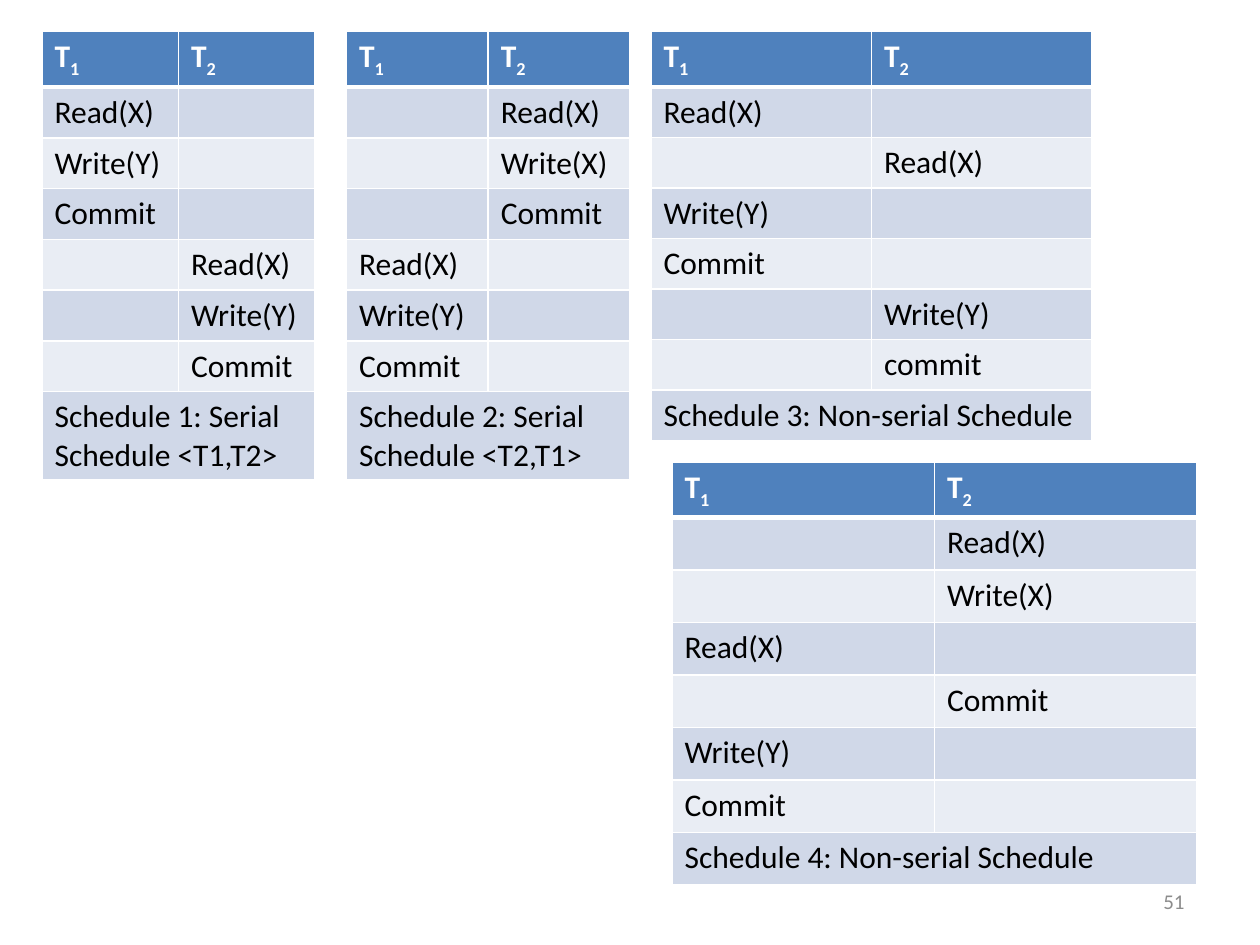
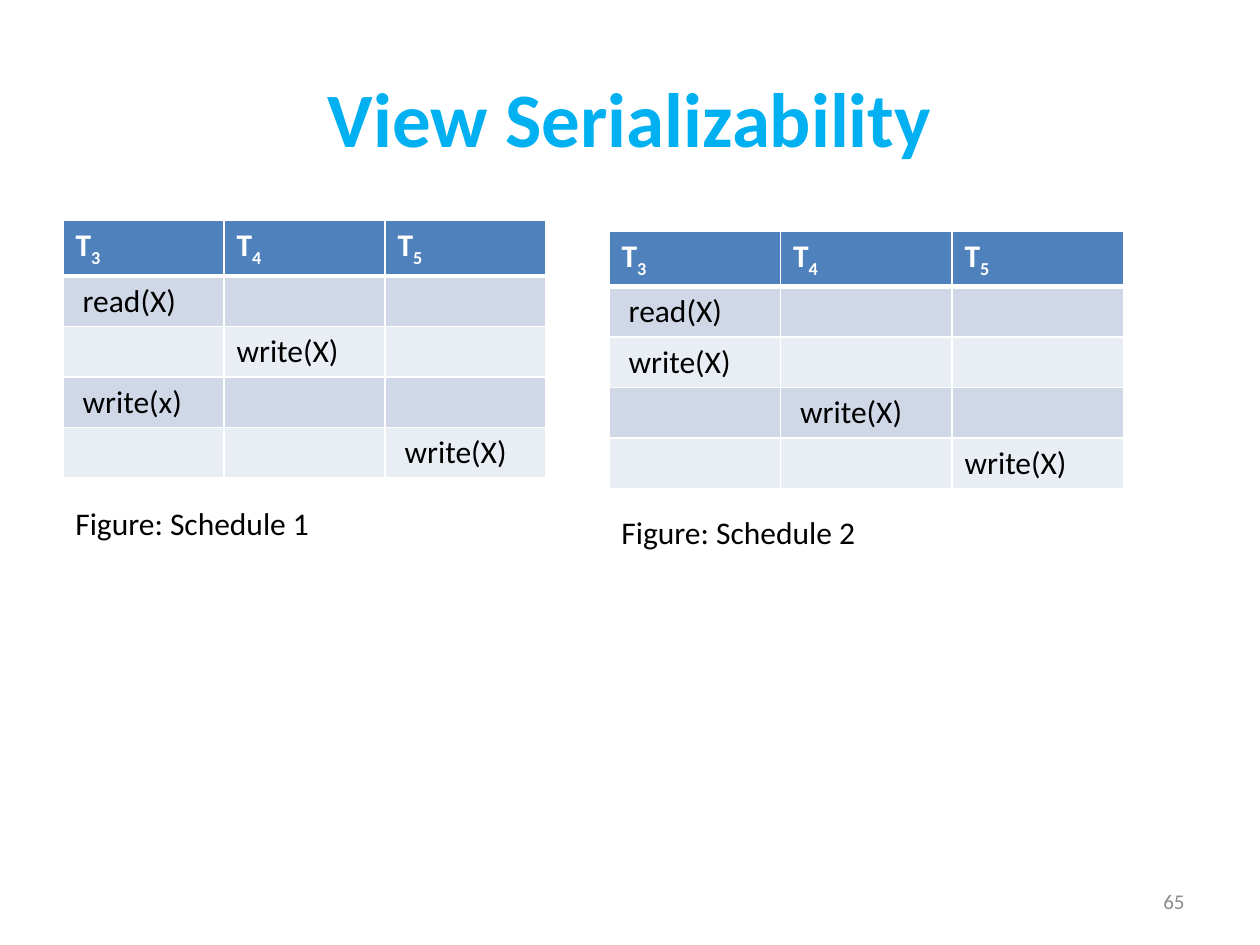
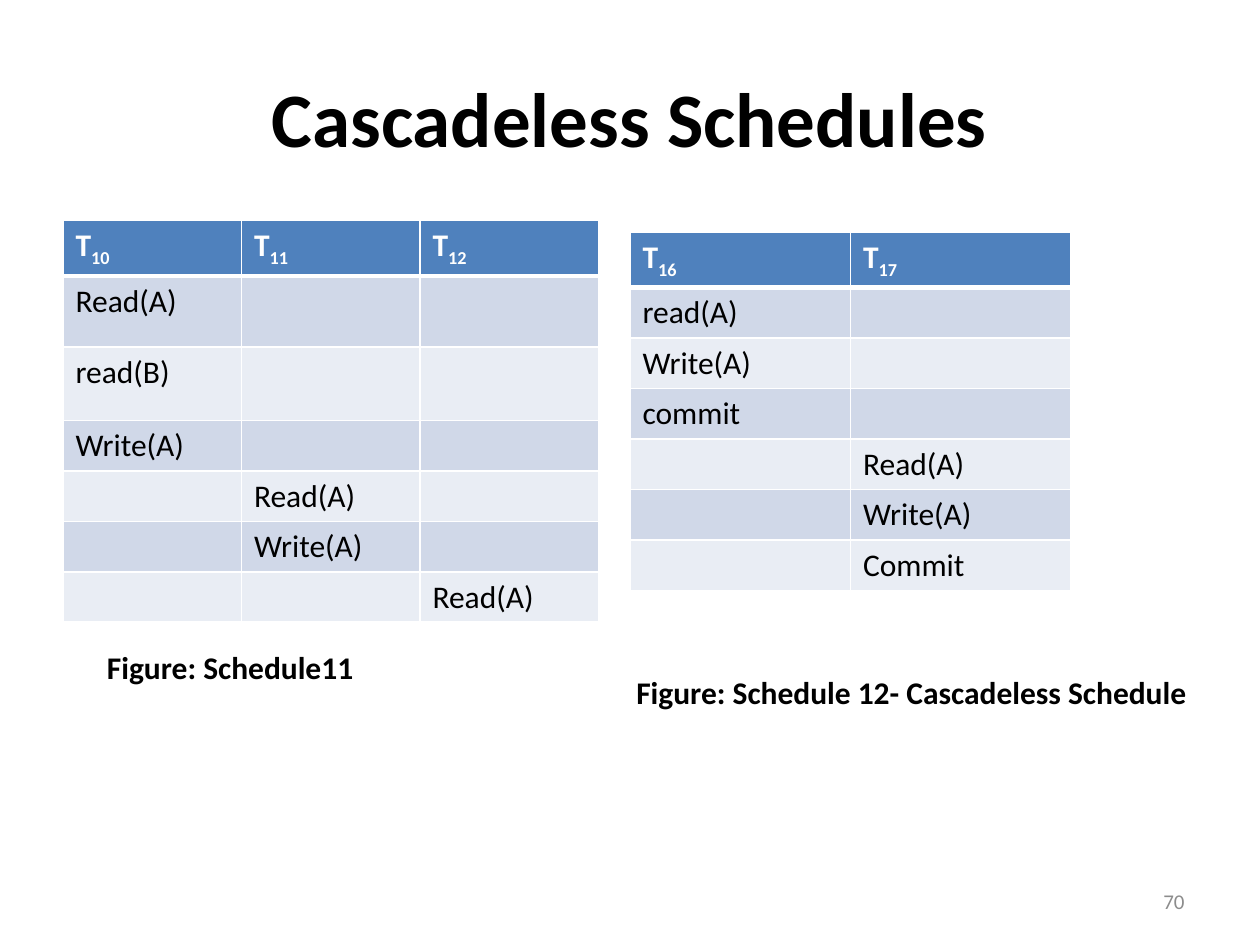
from lxml.etree import SubElement
from pptx import Presentation
from pptx.dml.color import RGBColor
from pptx.enum.text import MSO_ANCHOR, PP_ALIGN
from pptx.oxml.ns import qn
from pptx.util import Pt

BLANK, TITLE_ONLY = 6, 5


def color(hex_string):
    return RGBColor.from_string(hex_string)


class Deck:
    """Holds the shared style and the current slide."""

    FONT = "Calibri"
    BLACK, WHITE, GREY, SKY = "000000", "FFFFFF", "8C8C8C", "00B0F0"
    HEADER = "4F81BD"
    BANDS = ("E9EDF4", "D0D8E8")
    BODY_SIZE, TITLE_SIZE, NUMBER_SIZE = 18, 44, 12

    def __init__(self):
        self.prs = Presentation()
        self.prs.slide_width, self.prs.slide_height = Pt(720), Pt(540)
        self.slide = None

    def new_slide(self, number, title=None, title_color=BLACK):
        layout = BLANK if title is None else TITLE_ONLY
        self.slide = self.prs.slides.add_slide(self.prs.slide_layouts[layout])
        if title is not None:
            self.title(title, title_color)
        self.text(str(number), 516, 500.5, 168, 29, self.NUMBER_SIZE, self.GREY,
                  align=PP_ALIGN.RIGHT, anchor=MSO_ANCHOR.MIDDLE)

    def format(self, paragraph, size, hex_color, bold=False):
        for run in paragraph.runs:
            run.font.name = self.FONT
            run.font.size = Pt(size)
            run.font.bold = bold
            run.font.color.rgb = color(hex_color)

    def title(self, words, hex_color):
        heading = self.slide.shapes.title
        heading.left, heading.top = Pt(36), Pt(21.6)
        heading.width, heading.height = Pt(648), Pt(90)
        frame = heading.text_frame
        frame.text = words
        frame.vertical_anchor = MSO_ANCHOR.MIDDLE
        frame.paragraphs[0].alignment = PP_ALIGN.CENTER
        self.format(frame.paragraphs[0], self.TITLE_SIZE, hex_color, bold=True)

    def text(self, words, left, top, width, height, size, hex_color, bold=False,
             align=PP_ALIGN.LEFT, anchor=MSO_ANCHOR.TOP):
        box = self.slide.shapes.add_textbox(Pt(left), Pt(top), Pt(width), Pt(height))
        frame = box.text_frame
        frame.word_wrap = True
        frame.vertical_anchor = anchor
        frame.text = words
        frame.paragraphs[0].alignment = align
        self.format(frame.paragraphs[0], size, hex_color, bold)

    def caption(self, words, left, top, width=160, bold=False):
        self.text(words, left, top, width, 29, self.BODY_SIZE, self.BLACK, bold)

    def style_cell(self, cell, fill, top=1, bottom=1):
        properties = cell._tc.get_or_add_tcPr()
        for side, weight in (("L", 1), ("R", 1), ("T", top), ("B", bottom)):
            line = SubElement(properties, qn(f"a:ln{side}"), w=str(Pt(weight)))
            solid = SubElement(line, qn("a:solidFill"))
            SubElement(solid, qn("a:srgbClr"), val=self.WHITE)
        cell.fill.solid()
        cell.fill.fore_color.rgb = color(fill)

    def schedule(self, left, top, width, height, transactions, steps,
                 closing=None, row_heights=None):
        """Each step is (column, operation); closing spans the last row."""
        row_count = 1 + len(steps) + (closing is not None)
        column_count = len(transactions)
        table = self.slide.shapes.add_table(
            row_count, column_count, Pt(left), Pt(top), Pt(width), Pt(height)).table
        for column in table.columns:
            column.width = Pt(width / column_count)
        for row, row_height in zip(table.rows, row_heights or [height / row_count] * row_count):
            row.height = Pt(row_height)

        # Header: T with the transaction number as subscript
        for column, transaction in enumerate(transactions):
            cell = table.cell(0, column)
            self.style_cell(cell, self.HEADER, bottom=3)
            paragraph = cell.text_frame.paragraphs[0]
            paragraph.text = "T"
            subscript = paragraph.add_run()
            subscript.text = str(transaction)
            self.format(paragraph, self.BODY_SIZE, self.WHITE, bold=True)
            subscript._r.get_or_add_rPr().set("baseline", "-25000")

        # Banded body, one operation per row
        for row in range(1, row_count):
            for column in range(column_count):
                self.style_cell(table.cell(row, column), self.BANDS[row % 2],
                                top=3 if row == 1 else 1)
        entries = list(steps)
        if closing is not None:
            table.cell(row_count - 1, 0).merge(table.cell(row_count - 1, column_count - 1))
            entries.append((0, closing))
        for row, (column, operation) in enumerate(entries, start=1):
            paragraph = table.cell(row, column).text_frame.paragraphs[0]
            paragraph.text = operation
            self.format(paragraph, self.BODY_SIZE, self.BLACK)


def main():
    deck = Deck()

    # Serial and non-serial schedules
    deck.new_slide(51)
    serial_rows = [29] * 7 + [49]
    deck.schedule(24, 18, 156, 253, (1, 2),
                  [(0, "Read(X)"), (0, "Write(Y)"), (0, "Commit"),
                   (1, "Read(X)"), (1, "Write(Y)"), (1, "Commit")],
                  "Schedule 1: Serial Schedule <T1,T2>", serial_rows)
    deck.schedule(198, 18, 162, 252, (1, 2),
                  [(1, "Read(X)"), (1, "Write(X)"), (1, "Commit"),
                   (0, "Read(X)"), (0, "Write(Y)"), (0, "Commit")],
                  "Schedule 2: Serial Schedule <T2,T1>", serial_rows)
    deck.schedule(372, 18, 252, 230, (1, 2),
                  [(0, "Read(X)"), (1, "Read(X)"), (0, "Write(Y)"),
                   (0, "Commit"), (1, "Write(Y)"), (1, "commit")],
                  "Schedule 3: Non-serial Schedule")
    deck.schedule(384, 264, 300, 240, (1, 2),
                  [(1, "Read(X)"), (1, "Write(X)"), (0, "Read(X)"),
                   (1, "Commit"), (0, "Write(Y)"), (0, "Commit")],
                  "Schedule 4: Non-serial Schedule")

    # View serializability
    deck.new_slide(65, "View Serializability", Deck.SKY)
    deck.schedule(36, 126, 276, 144, (3, 4, 5),
                  [(0, " read(X)"), (1, "write(X)"), (0, " write(x)"), (2, " write(X)")])
    deck.schedule(348, 132, 294, 144, (3, 4, 5),
                  [(0, " read(X)"), (0, " write(X)"), (1, " write(X)"), (2, "write(X)")])
    deck.caption("Figure: Schedule 1", 36, 284.5)
    deck.caption("Figure: Schedule 2", 348, 289.5)

    # Cascadeless schedules
    deck.new_slide(70, "Cascadeless Schedules")
    deck.schedule(36, 126, 306, 226, (10, 11, 12),
                  [(0, "Read(A)"), (0, "read(B)"), (0, "Write(A)"),
                   (1, "Read(A)"), (1, "Write(A)"), (2, "Read(A)")],
                  row_heights=[25, 40.5, 42] + [25] * 4)
    deck.schedule(360, 132.5, 252, 202, (16, 17),
                  [(0, "read(A)"), (0, "Write(A)"), (0, "commit"),
                   (1, "Read(A)"), (1, "Write(A)"), (1, "Commit")])
    deck.caption("Figure: Schedule11", 54, 366.5, 234, bold=True)
    deck.caption("Figure: Schedule 12- Cascadeless Schedule", 356.5, 381, 340, bold=True)

    deck.prs.save("out.pptx")


if __name__ == "__main__":
    main()
